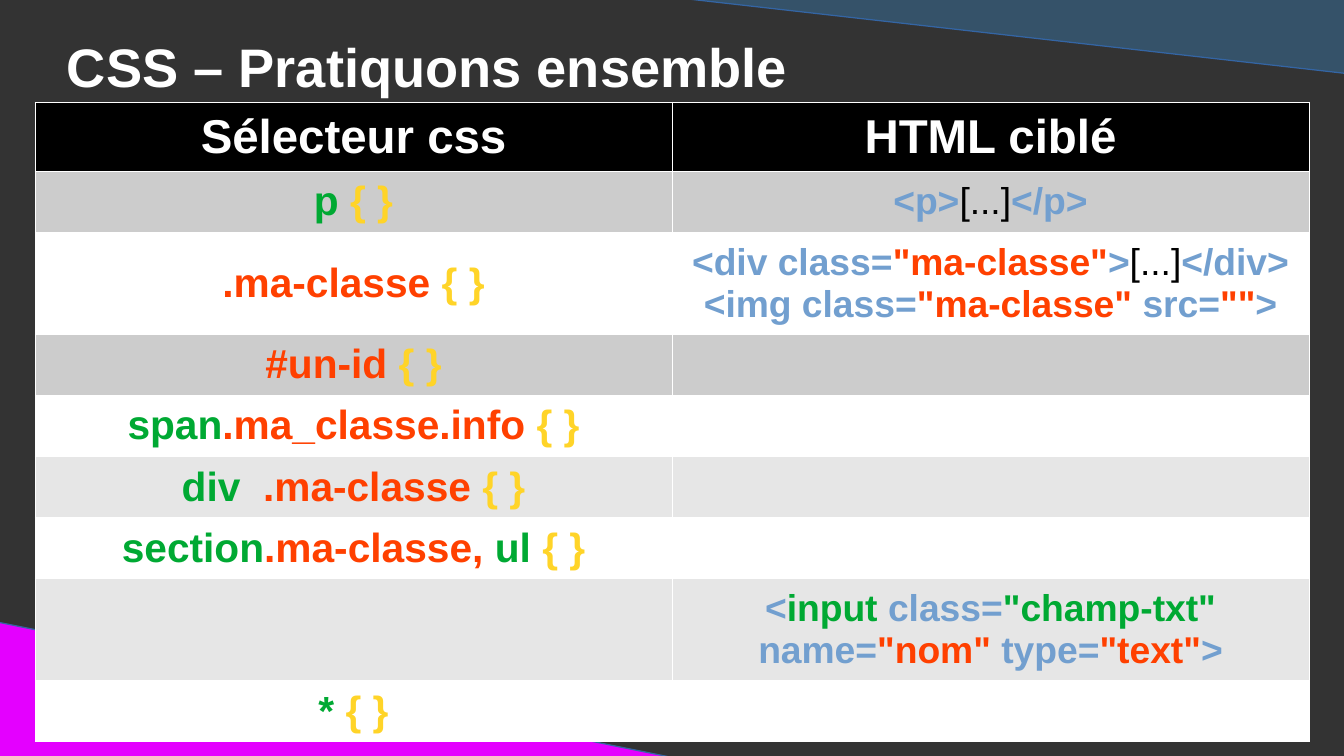
from lxml import etree
from pptx import Presentation
from pptx.dml.color import RGBColor
from pptx.enum.shapes import MSO_SHAPE
from pptx.enum.text import MSO_ANCHOR, PP_ALIGN
from pptx.oxml import parse_xml
from pptx.oxml.ns import nsdecls
from pptx.util import Pt

PX = 914400 / 122
TRIANGLE = MSO_SHAPE.RIGHT_TRIANGLE
MIDDLE = MSO_ANCHOR.MIDDLE
CENTER = PP_ALIGN.CENTER

DARK = RGBColor(0x33, 0x33, 0x33)
SLATE = RGBColor(0x35, 0x52, 0x69)
MAGENTA = RGBColor(0xE4, 0x00, 0xFF)
OUTLINE = RGBColor(0x34, 0x65, 0xA4)
WHITE = RGBColor(0xFF, 0xFF, 0xFF)
BLACK = RGBColor(0x00, 0x00, 0x00)
GRAY = RGBColor(0xCC, 0xCC, 0xCC)
LIGHT = RGBColor(0xE6, 0xE6, 0xE6)
GREEN = RGBColor(0x00, 0xA9, 0x33)
YELLOW = RGBColor(0xFF, 0xD4, 0x28)
ORANGE = RGBColor(0xFF, 0x40, 0x00)
BLUE = RGBColor(0x72, 0x9F, 0xCF)

BRACES = ("{ }", YELLOW)
HEADER_SIZE, SELECTOR_SIZE, HTML_SIZE = 28, 24, 22
ROWS = [
    (69, BLACK, [("Sélecteur css", WHITE)], [("HTML ciblé", WHITE)]),
    (61, GRAY, [("p ", GREEN), BRACES],
     [("<p>", BLUE), ("[...]", BLACK), ("</p>", BLUE)]),
    (102, WHITE, [(".ma-classe ", ORANGE), BRACES],
     [("<div class=", BLUE), ('"ma-classe"', ORANGE), (">", BLUE),
      ("[...]", BLACK), ("</div>\n<img class=", BLUE),
      ('"ma-classe"', ORANGE), (" src=", BLUE), ('""', ORANGE), (">", BLUE)]),
    (61, GRAY, [("#un-id ", ORANGE), BRACES], []),
    (61, WHITE, [("span", GREEN), (".ma_classe.info ", ORANGE), BRACES], []),
    (61, LIGHT, [("div  ", GREEN), (".ma-classe ", ORANGE), BRACES], []),
    (61, WHITE, [("section", GREEN), (".ma-classe, ", ORANGE),
                 ("ul ", GREEN), BRACES], []),
    (102, LIGHT, [],
     [("<", BLUE), ("input", GREEN), (" class=", BLUE),
      ('"champ-txt"', GREEN), (" name=", BLUE), ('"nom" ', ORANGE),
      ("type=", BLUE), ('"text"', ORANGE), (">", BLUE)]),
    (61, WHITE, [("* ", GREEN), BRACES], []),
]


def px(n):
    return round(n * PX)


def box(*lengths):
    return [px(n) for n in lengths]


def set_attrs(obj, values):
    for name, value in values.items():
        setattr(obj, name, value)


def add_runs(p, runs, size):
    for text, color in runs:
        for i, part in enumerate(text.split("\n")):
            if i:
                p.add_line_break()
            r = p.add_run()
            r.text = part
            set_attrs(r.font, {"name": "Arial", "size": Pt(size),
                               "bold": color != BLACK})
            r.font.color.rgb = color


def add_triangle(s, place, color, rotation):
    sp = s.shapes.add_shape(TRIANGLE, *box(*place))
    sp.rotation = rotation
    sp.shadow.inherit = False
    sp.fill.solid()
    sp.fill.fore_color.rgb = color
    sp.line.color.rgb = OUTLINE
    sp.line.width = 0


def add_title(s, text):
    tf = s.shapes.add_textbox(*box(67, 32, 1210, 68)).text_frame
    set_attrs(tf, {"word_wrap": True, "vertical_anchor": MIDDLE,
                   "margin_left": 0, "margin_right": 0,
                   "margin_top": 0, "margin_bottom": 0})
    add_runs(tf.paragraphs[0], [(text, WHITE)], 32)


def add_borders(cell):
    tcPr = cell._tc.get_or_add_tcPr()
    for side in ("lnL", "lnR", "lnT", "lnB"):
        ln = parse_xml(f'<a:{side} {nsdecls("a")} w="762"/>')
        fill = etree.SubElement(ln, ln.tag.replace(side, "solidFill"))
        etree.SubElement(fill, ln.tag.replace(side, "srgbClr"), val=str(WHITE))
        tcPr.append(ln)


def fill_cell(cell, runs, size, color):
    add_borders(cell)
    cell.fill.solid()
    cell.fill.fore_color.rgb = color
    cell.vertical_anchor = MIDDLE
    p = cell.text_frame.paragraphs[0]
    p.alignment = CENTER
    add_runs(p, runs, size)


def add_selector_table(s):
    height = sum(row[0] for row in ROWS)
    table = s.shapes.add_table(len(ROWS), 2, *box(35, 102, 1274, height)).table
    set_attrs(table, {"first_row": False, "horz_banding": False})
    for i, (row_height, color, *cells) in enumerate(ROWS):
        table.rows[i].height = px(row_height)
        sizes = (SELECTOR_SIZE, HTML_SIZE) if i else (HEADER_SIZE, HEADER_SIZE)
        for j, (runs, size) in enumerate(zip(cells, sizes)):
            fill_cell(table.cell(i, j), runs, size, color)


def main():
    prs = Presentation()
    set_attrs(prs, {"slide_width": px(1344), "slide_height": px(756)})
    s = prs.slides.add_slide(prs.slide_layouts[6])
    s.background.fill.solid()
    s.background.fill.fore_color.rgb = DARK
    add_triangle(s, (653, -5, 698, 79), SLATE, 180)
    add_triangle(s, (-3, 622, 698, 140), MAGENTA, 0)
    add_title(s, "CSS – Pratiquons ensemble")
    add_selector_table(s)
    prs.save("out.pptx")


if __name__ == "__main__":
    main()
